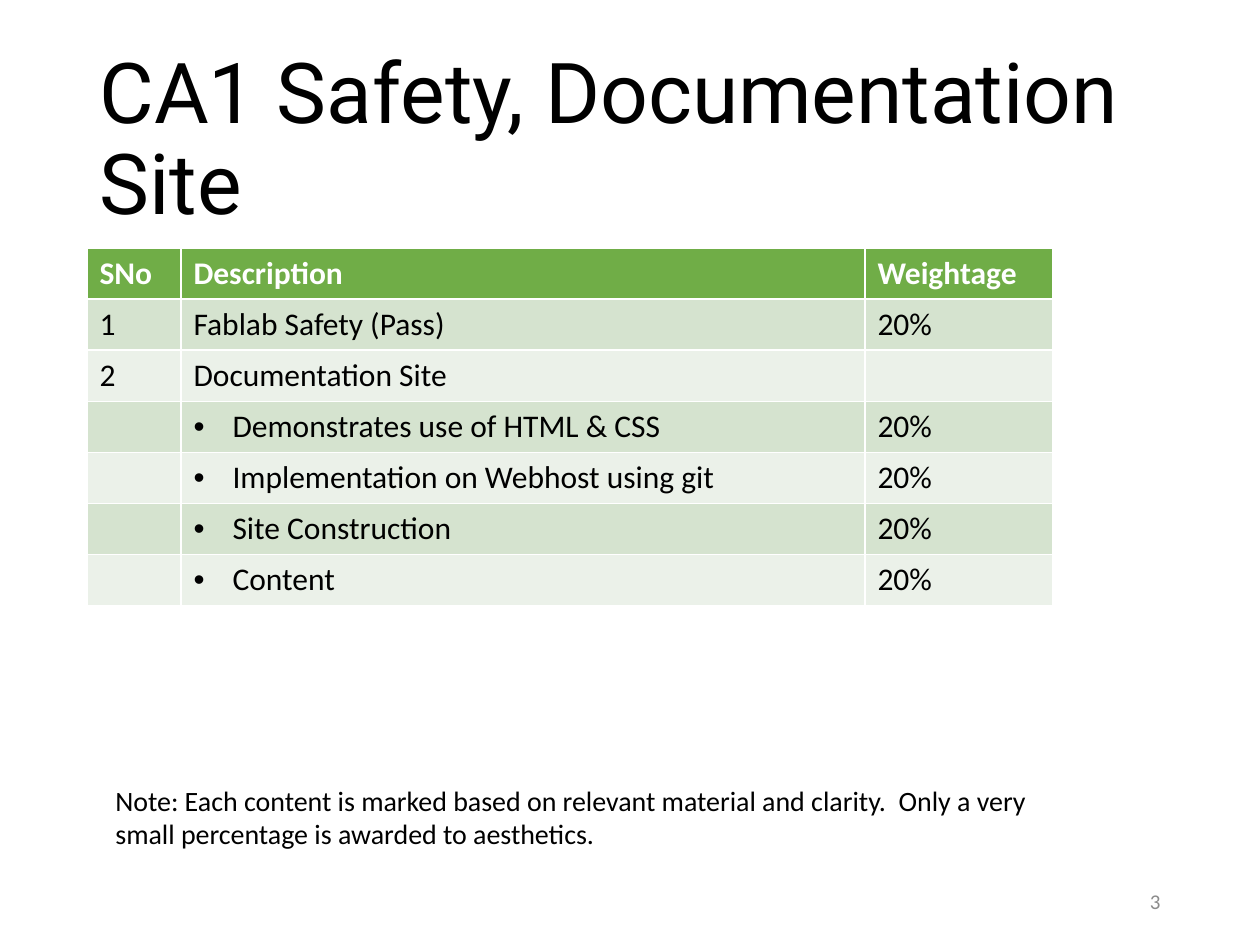
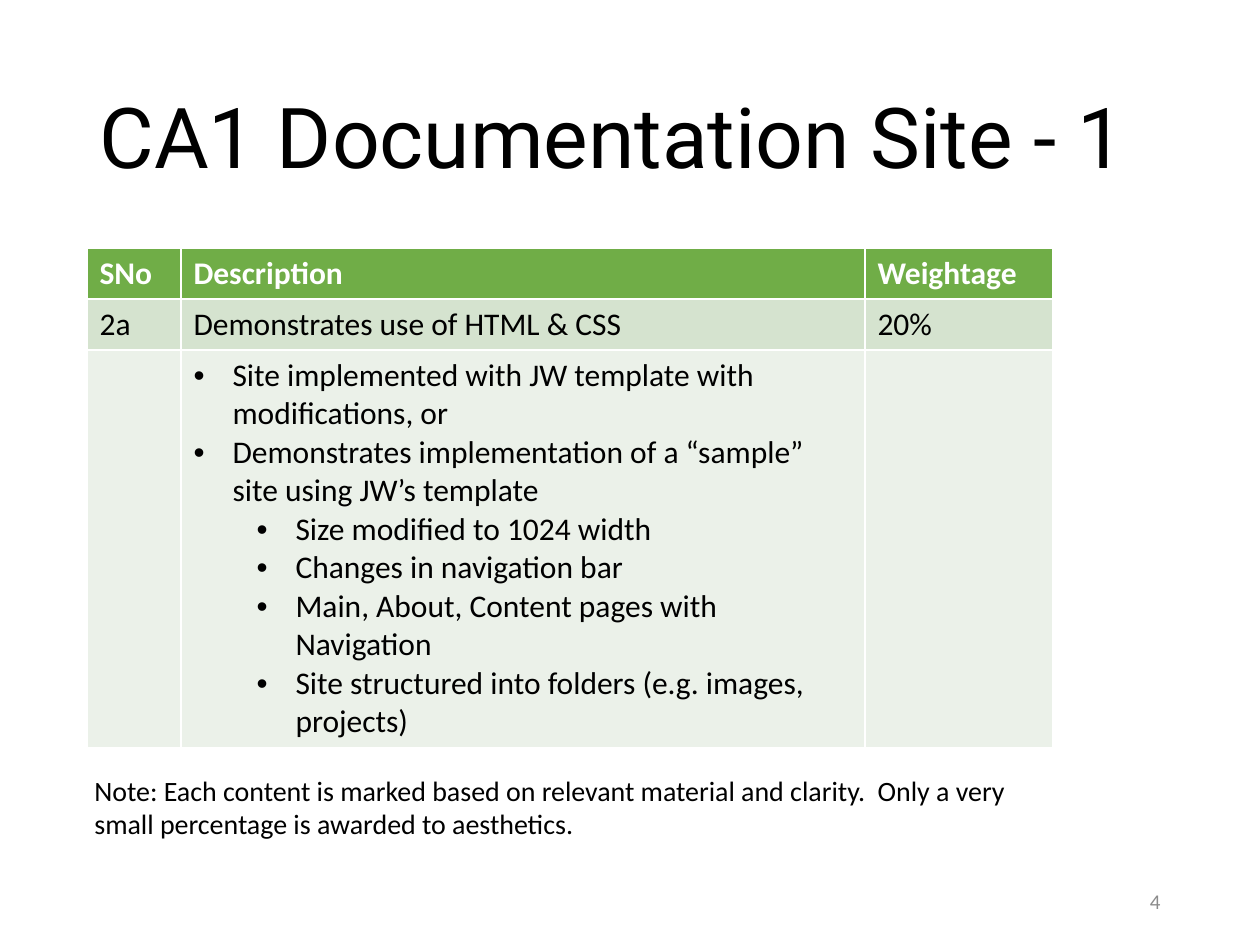
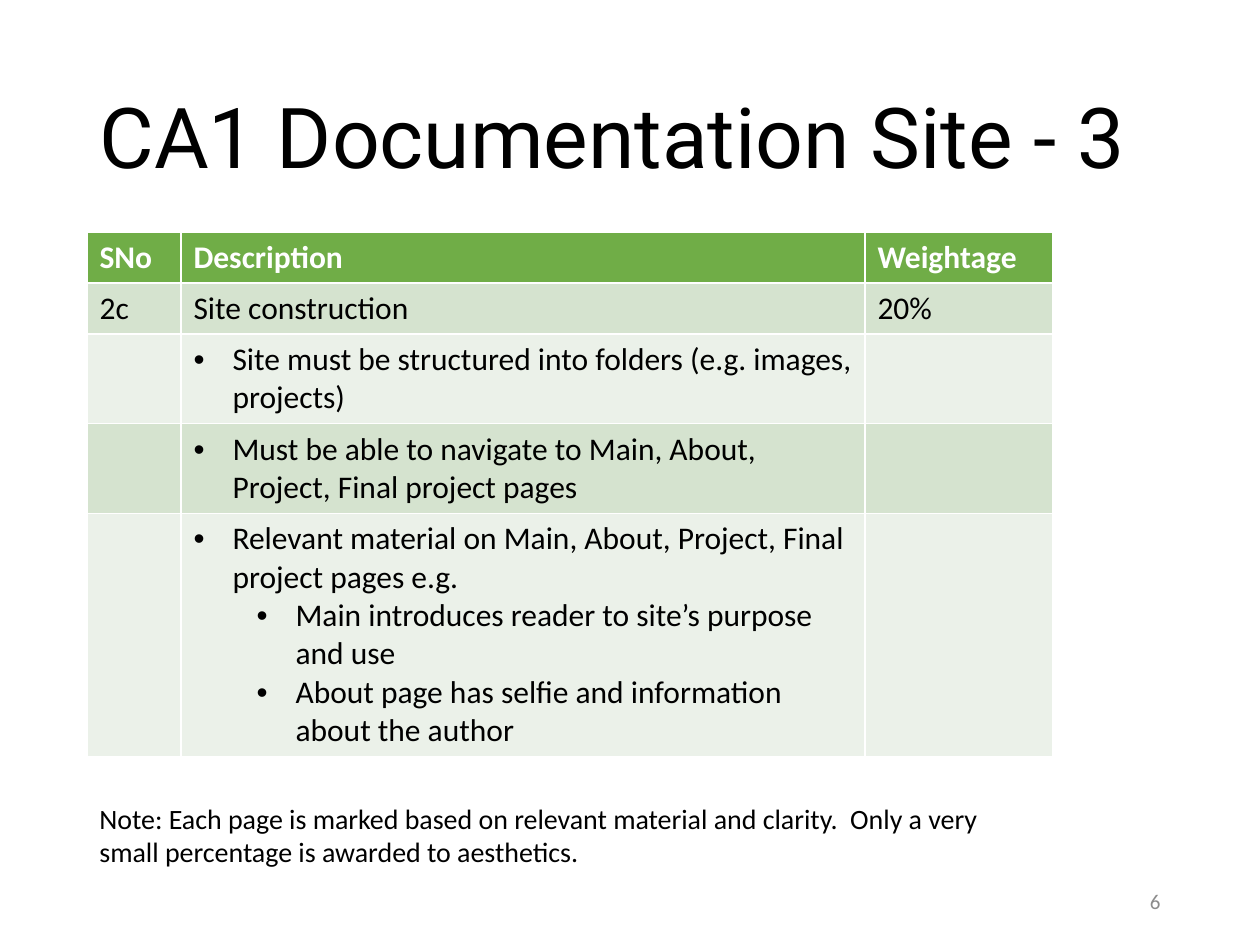
"""Build three slides on the marking scheme for CA1."""
from lxml import etree
from pptx import Presentation
from pptx.dml.color import RGBColor
from pptx.enum.text import MSO_ANCHOR, MSO_AUTO_SIZE, PP_ALIGN
from pptx.oxml.ns import qn
from pptx.util import Emu, Pt

LEFT, RIGHT = PP_ALIGN.LEFT, PP_ALIGN.RIGHT
TOP, MIDDLE = MSO_ANCHOR.TOP, MSO_ANCHOR.MIDDLE
FIXED, GROW = MSO_AUTO_SIZE.NONE, MSO_AUTO_SIZE.SHAPE_TO_FIT_TEXT

BLACK = RGBColor(0x00, 0x00, 0x00)
WHITE = RGBColor(0xFF, 0xFF, 0xFF)
GRAY = RGBColor(0x8C, 0x8C, 0x8C)
GREEN = RGBColor(0x70, 0xAD, 0x47)
BANDS = RGBColor(0xD5, 0xE3, 0xCF), RGBColor(0xEB, 0xF1, 0xE9)

TITLE_FONT, BODY_FONT = "Roboto", "Calibri"
TITLE_ONLY = 5
COLUMN_WIDTHS = 94, 684, 188
LINE_HEIGHT, CELL_PADDING = 38, 13
BULLET_HANG, BULLET_STEP = 39, 63
HEADER = 1, "SNo", "Description", "Weightage"
NOTE = ("Note: Each {} is marked based on relevant material and clarity.  "
        "Only a very small percentage is awarded to aesthetics.")

SLIDES = [
    {
        "title": "CA1 Safety, Documentation Site",
        "number": "3",
        "table_top": 248,
        "note": ("content", 103, 777),
        "rows": [
            (1, "1", "Fablab Safety (Pass)", "20%"),
            (1, "2", "Documentation Site", ""),
            (1, "", [(1, "Demonstrates use of HTML & CSS")], "20%"),
            (1, "", [(1, "Implementation on Webhost using git")], "20%"),
            (1, "", [(1, "Site Construction")], "20%"),
            (1, "", [(1, "Content")], "20%"),
        ],
    },
    {
        "title": "CA1 Documentation Site - 1",
        "number": "4",
        "table_top": 248,
        "note": ("content", 82, 767),
        "rows": [
            (1, "2a", "Demonstrates use of HTML & CSS", "20%"),
            (10, "", [
                (1, "Site implemented with JW template with modifications, or"),
                (1, "Demonstrates implementation of a “sample” site using JW’s template"),
                (2, "Size modified to 1024 width"),
                (2, "Changes in navigation bar"),
                (2, "Main, About, Content pages with Navigation"),
                (2, "Site structured into folders (e.g. images, projects)"),
            ], ""),
        ],
    },
    {
        "title": "CA1 Documentation Site - 3",
        "number": "6",
        "table_top": 232,
        "note": ("page", 87, 795),
        "rows": [
            (1, "2c", "Site construction", "20%"),
            (2, "", [(1, "Site must be structured into folders (e.g. images, projects)")], ""),
            (2, "", [(1, "Must be able to navigate to Main, About, Project, Final project pages")], ""),
            (6, "", [
                (1, "Relevant material on Main, About, Project, Final project pages e.g."),
                (2, "Main introduces reader to site’s purpose and use"),
                (2, "About page has selfie and information about the author"),
            ], ""),
        ],
    },
]


def px(length):
    """Turn pixels into EMU."""
    return Emu(round(length * 914400 / 126))


def add_bullet(paragraph, depth):
    """Give a paragraph a hanging bullet at the given depth."""
    paragraph.level = depth - 1
    properties = paragraph._p.get_or_add_pPr()
    properties.set("marL", str(px(BULLET_HANG + BULLET_STEP * (depth - 1))))
    properties.set("indent", str(px(-BULLET_HANG)))
    etree.SubElement(properties, qn("a:buFont"), typeface="Arial")
    etree.SubElement(properties, qn("a:buChar"), char="•")


def write(frame, text, size=18, font=BODY_FONT, color=BLACK, bold=False,
          align=LEFT, spacing=None):
    """Write a string, or a list of (bullet depth, string), into a text frame."""
    items = [(0, text)] if isinstance(text, str) else text
    for index, (depth, line) in enumerate(items):
        paragraph = frame.add_paragraph() if index else frame.paragraphs[0]
        paragraph.alignment = align
        if spacing:
            paragraph.line_spacing = spacing
        if depth:
            add_bullet(paragraph, depth)
        if line:
            run = paragraph.add_run()
            run.text = line
            run.font.size = Pt(size)
            run.font.name = font
            run.font.bold = bold
            run.font.color.rgb = color


class Deck:
    """Hold the presentation, its style and the current slide."""

    def __init__(self):
        """Start an empty presentation."""
        self.presentation = Presentation()
        self.presentation.slide_width = px(1260)
        self.presentation.slide_height = px(945)
        self.slide = None

    def add_slide(self, title):
        """Add a slide with its title."""
        layout = self.presentation.slide_layouts[TITLE_ONLY]
        self.slide = self.presentation.slides.add_slide(layout)
        shape = self.slide.shapes.title
        shape.left, shape.top, shape.width, shape.height = map(px, (87, 50, 1086, 183))
        frame = shape.text_frame
        frame.auto_size = FIXED
        frame.vertical_anchor = MIDDLE
        write(frame, title, size=48, font=TITLE_FONT, spacing=0.9)

    def add_text(self, text, box, anchor=TOP, fit=FIXED, **style):
        """Add a wrapping text box."""
        frame = self.slide.shapes.add_textbox(*map(px, box)).text_frame
        frame.word_wrap = True
        frame.auto_size = fit
        frame.vertical_anchor = anchor
        write(frame, text, **style)

    def add_marks_table(self, top, rows):
        """Add the header and the banded rows of marks."""
        rows = [HEADER, *rows]
        heights = [CELL_PADDING + LINE_HEIGHT * lines for lines, *_ in rows]
        table = self.slide.shapes.add_table(
            len(rows), len(COLUMN_WIDTHS), px(87), px(top),
            px(sum(COLUMN_WIDTHS)), px(sum(heights))).table
        for column, width in zip(table.columns, COLUMN_WIDTHS):
            column.width = px(width)
        for index, (_, *texts) in enumerate(rows):
            table.rows[index].height = px(heights[index])
            is_header = index == 0
            for cell, text in zip(table.rows[index].cells, texts):
                cell.fill.solid()
                cell.fill.fore_color.rgb = GREEN if is_header else BANDS[(index - 1) % 2]
                write(cell.text_frame, text, bold=is_header,
                      color=WHITE if is_header else BLACK)

    def add_note(self, subject, left, top):
        """Add the marking note below the table."""
        self.add_text(NOTE.format(subject), (left, top, 950, 81), fit=GROW, size=16)

    def add_number(self, number):
        """Add the slide number at the bottom right."""
        self.add_text(number, (890, 876, 283, 50), anchor=MIDDLE,
                      size=12, color=GRAY, align=RIGHT)


def main():
    """Build the slides and save them."""
    deck = Deck()
    for content in SLIDES:
        deck.add_slide(content["title"])
        deck.add_marks_table(content["table_top"], content["rows"])
        deck.add_number(content["number"])
        deck.add_note(*content["note"])
    deck.presentation.save("out.pptx")


if __name__ == "__main__":
    main()
